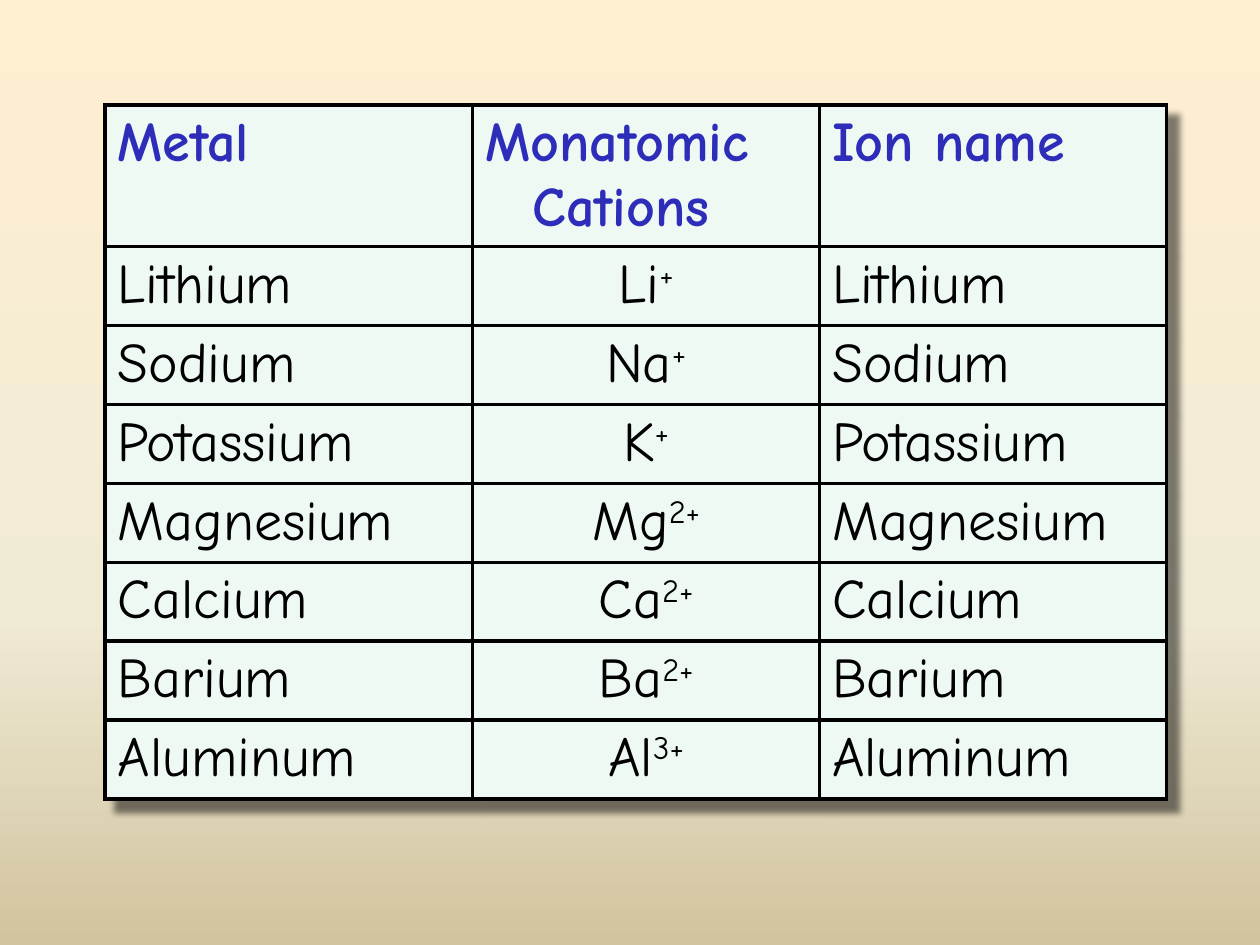
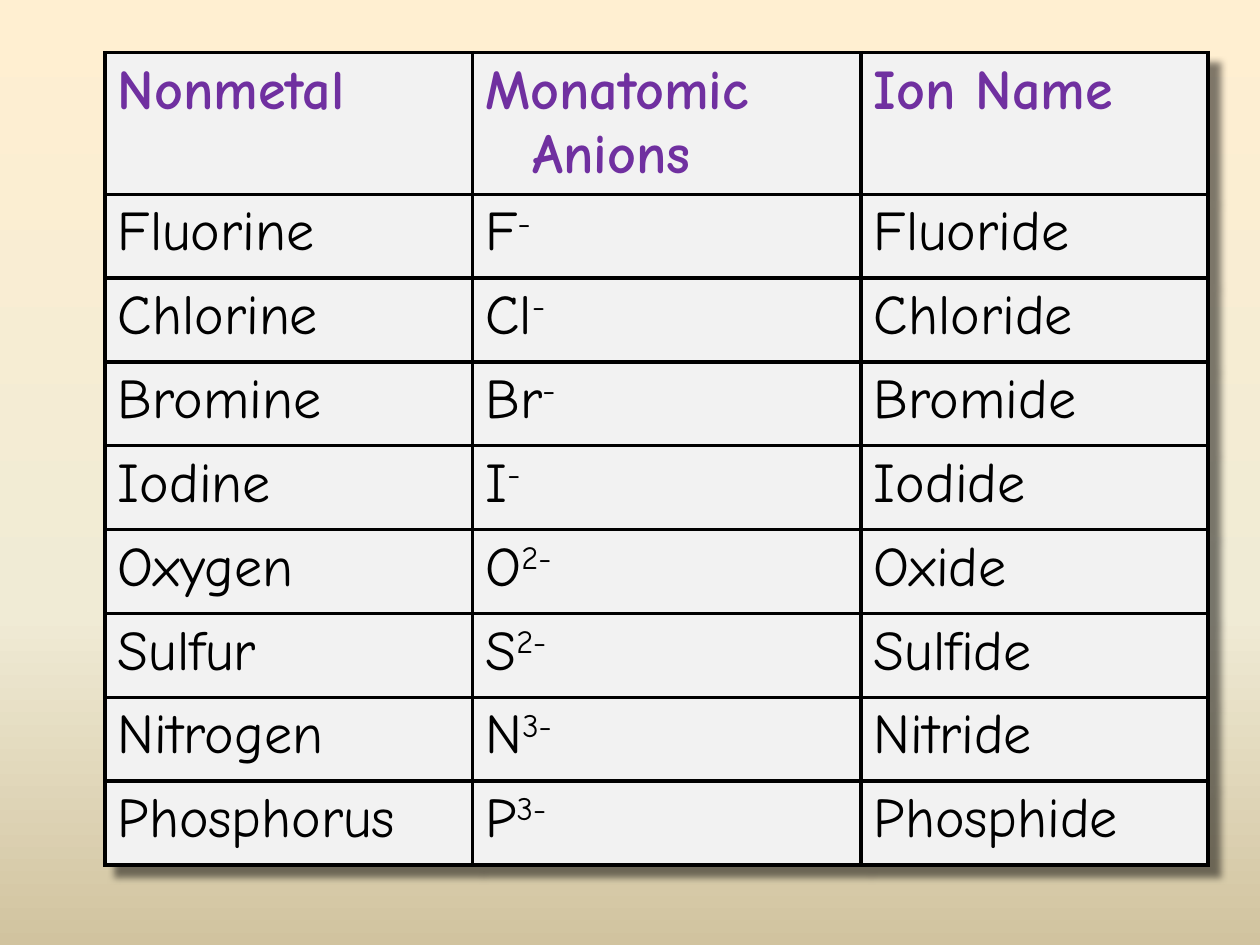
from copy import deepcopy

from lxml import etree
from pptx import Presentation, util as u
from pptx.dml.color import RGBColor
from pptx.enum import text
from pptx.oxml import ns, parse_xml

BLACK = RGBColor(0x00, 0x00, 0x00)
BLUE = RGBColor(0x2D, 0x2D, 0xB9)
PURPLE = RGBColor(0x70, 0x30, 0xA0)
MINT = RGBColor(0xEE, 0xF9, 0xF4)
GREY = RGBColor(0xF2, 0xF2, 0xF2)
BACKDROP = [
    (0, RGBColor(0xFF, 0xEF, 0xD1)),
    (0.65, RGBColor(0xF0, 0xEB, 0xD5)),
    (1, RGBColor(0xD1, 0xC3, 0x9F)),
]
BODY = {"name": "Comic Neue", "size": u.Pt(32), "bold": False}
HEADING = {**BODY, "bold": True}
LEFT = u.Cm(2.12)
INDENT = u.Cm(0.95)

CATIONS = [
    ("Lithium", "Li", "+", "Lithium"),
    ("Sodium", "Na", "+", "Sodium"),
    ("Potassium", "K", "+", "Potassium"),
    ("Magnesium", "Mg", "2+", "Magnesium"),
    ("Calcium", "Ca", "2+", "Calcium"),
    ("Barium", "Ba", "2+", "Barium"),
    ("Aluminum", "Al", "3+", "Aluminum"),
]
ANIONS = [
    ("Fluorine", "F", "-", "Fluoride"),
    ("Chlorine", "Cl", "-", "Chloride"),
    ("Bromine", "Br", "-", "Bromide"),
    ("Iodine", "I", "-", "Iodide"),
    ("Oxygen", "O", "2-", "Oxide"),
    ("Sulfur", "S", "2-", "Sulfide"),
    ("Nitrogen", "N", "3-", "Nitride"),
    ("Phosphorus", "P", "3-", "Phosphide"),
]


def set_backdrop(master):
    fill = master.background.fill
    fill.gradient()
    fill.gradient_angle = 270
    stop_list = master.element.find(".//" + ns.qn("a:gsLst"))
    stop_list.append(deepcopy(stop_list[0]))
    for stop, (position, colour) in zip(fill.gradient_stops, BACKDROP):
        stop.position = position
        stop.color.rgb = colour


def add_borders(cell):
    properties = cell._tc.get_or_add_tcPr()
    for side in ("lnL", "lnR", "lnT", "lnB"):
        line = etree.SubElement(properties, ns.qn("a:" + side), w=str(u.Pt(2.25)))
        solid = etree.SubElement(line, ns.qn("a:solidFill"))
        etree.SubElement(solid, ns.qn("a:srgbClr"), val=str(BLACK))


def add_shadow(table):
    effects = parse_xml(
        f'<a:effectLst {ns.nsdecls("a")}>'
        '<a:outerShdw blurRad="50800" dist="114300" dir="2700000" algn="tl" rotWithShape="0">'
        '<a:srgbClr val="000000"><a:alpha val="50000"/></a:srgbClr>'
        '</a:outerShdw></a:effectLst>')
    table._tbl.tblPr.insert(0, effects)


def add_span(para, words, style, colour, raised=False):
    span = para.add_run()
    span.text = words
    for name, value in style.items():
        setattr(span.font, name, value)
    span.font.color.rgb = colour
    if raised:
        span._r.get_or_add_rPr().set("baseline", "30000")


def fill_cell(cell, words, style, colour, fill, charge="", align=None):
    add_borders(cell)
    cell.fill.solid()
    cell.fill.fore_color.rgb = fill
    para = cell.text_frame.paragraphs[0]
    para.alignment = align
    indents = para._p.get_or_add_pPr()
    indents.set("marL", str(INDENT))
    indents.set("indent", str(-INDENT))
    add_span(para, words, style, colour)
    if charge:
        add_span(para, charge, style, colour, raised=True)


def add_ion_table(page, headings, ions, top, height, widths, heading_height,
                  row_height, heading_colour, fill, ion_align=None):
    frame = page.shapes.add_table(len(ions) + 1, len(headings), LEFT, top, sum(widths), height)
    table = frame.table
    table.first_row = table.horz_banding = False
    add_shadow(table)
    for column, width in zip(table.columns, widths):
        column.width = width
    for index, row in enumerate(table.rows):
        row.height = row_height if index else heading_height
    frame.height = height

    for column, heading in enumerate(headings):
        fill_cell(table.cell(0, column), heading, HEADING, heading_colour, fill)
    for row, (element, symbol, charge, ion) in enumerate(ions, start=1):
        fill_cell(table.cell(row, 0), element, BODY, BLACK, fill)
        fill_cell(table.cell(row, 1), symbol, BODY, BLACK, fill, charge, ion_align)
        fill_cell(table.cell(row, 2), ion, BODY, BLACK, fill)


def main():
    deck = Presentation()
    deck.slide_width, deck.slide_height = u.Cm(25.4), u.Cm(19.05)
    set_backdrop(deck.slide_master)
    blank = deck.slide_layouts[6]

    add_ion_table(
        deck.slides.add_slide(blank), ("Metal", "Monatomic Cations", "Ion name"), CATIONS,
        top=u.Cm(2.12), height=u.Cm(14.22), widths=[u.Cm(7.41), u.Cm(6.99), u.Cm(6.99)],
        heading_height=u.Cm(1.91), row_height=u.Cm(1.59), heading_colour=BLUE, fill=MINT,
        ion_align=text.PP_ALIGN.CENTER)
    add_ion_table(
        deck.slides.add_slide(blank), ("Nonmetal", "Monatomic Anions", "Ion Name"), ANIONS,
        top=u.Cm(1.06), height=u.Cm(16.59), widths=[u.Cm(7.41), u.Cm(7.83), u.Cm(6.99)],
        heading_height=u.Cm(1.69), row_height=u.Cm(1.69), heading_colour=PURPLE, fill=GREY)

    deck.save("out.pptx")


main()
